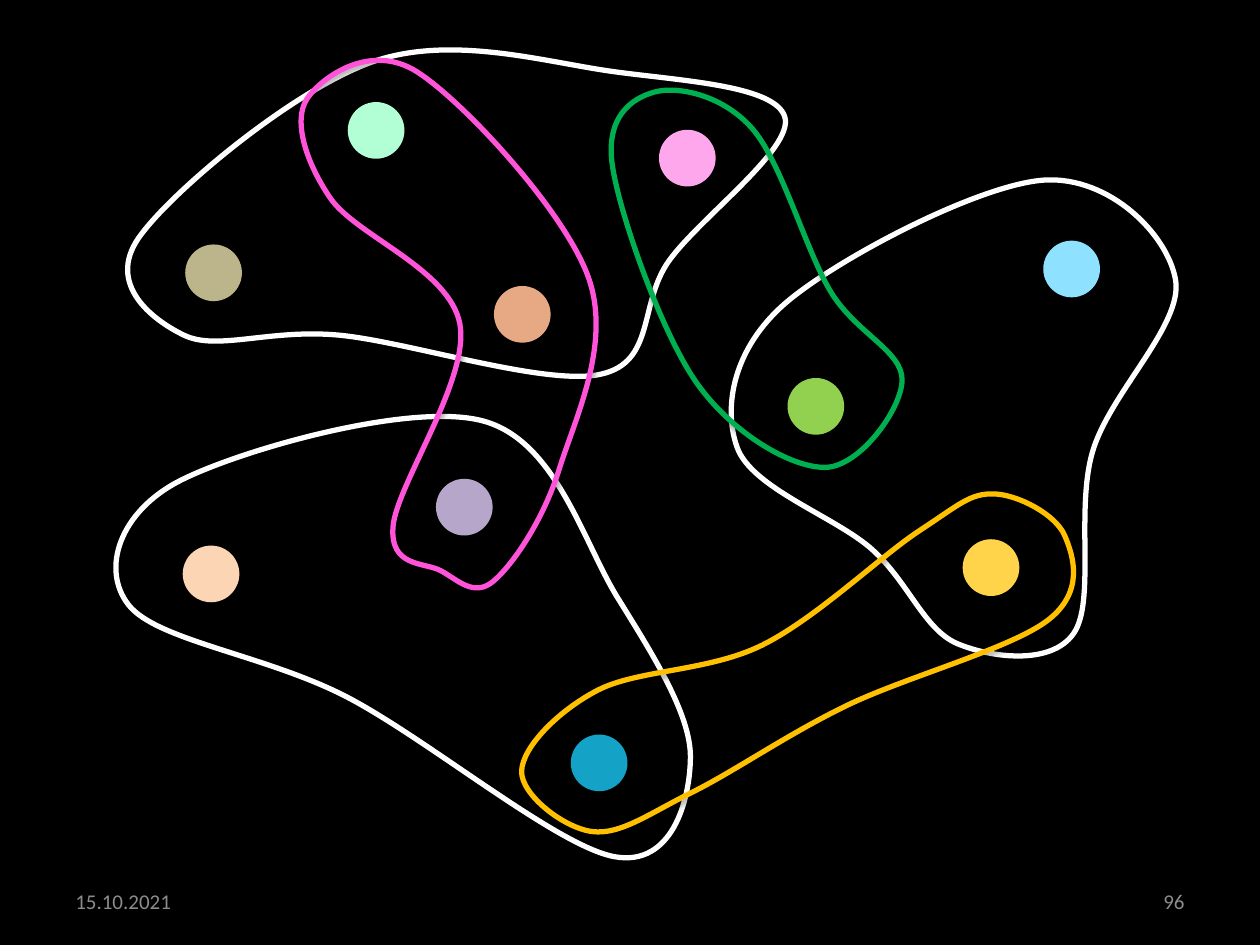
from pptx import Presentation
from pptx.dml.color import RGBColor
from pptx.enum.shapes import MSO_SHAPE
from pptx.enum.text import MSO_ANCHOR, PP_ALIGN
from pptx.oxml.ns import qn
from pptx.util import Inches, Pt
from lxml.etree import SubElement


def color(code):
    return RGBColor.from_string(code)


def smooth(knots):
    count = len(knots)
    curves = []
    for i in range(count):
        near = [knots[(i + k) % count] for k in (-1, 0, 1, 2)]
        axes = [(b, b + (c - a) / 6, c - (d - b) / 6, c)
                for a, b, c, d in zip(*near)]
        curves.append(list(zip(*axes)))
    return curves


def blend(curve, t):
    s = 1 - t
    return [a * s ** 3 + 3 * b * s * s * t + 3 * c * s * t * t + d * t ** 3
            for a, b, c, d in zip(*curve)]


def bounds(curves, steps=20):
    dots = [blend(c, n / steps) for c in curves for n in range(steps)]
    return [(min(axis), max(axis)) for axis in zip(*dots)]


class Board:
    font = "Calibri"
    size = 12
    gray = "8C8C8C"
    side = 0.45
    stroke = 3

    def __init__(self, deck, back):
        slide = deck.slides.add_slide(deck.slide_layouts[6])
        self.shapes = slide.shapes
        self.paint(slide.background.fill, back)

    def paint(self, fill, code):
        fill.solid()
        fill.fore_color.rgb = color(code)

    def shade(self, shape):
        shape.shadow.inherit = False
        effects = shape._element.spPr.find(qn("a:effectLst"))
        outer = SubElement(effects, qn("a:outerShdw"), blurRad=str(Pt(3.1)),
                           dist=str(Pt(1.8)), dir="5400000", rotWithShape="0")
        tint = SubElement(outer, qn("a:srgbClr"), val="000000")
        SubElement(tint, qn("a:alpha"), val="35000")

    def dot(self, left, top, code):
        side = Inches(self.side)
        shape = self.shapes.add_shape(
            MSO_SHAPE.OVAL, Inches(left), Inches(top), side, side)
        self.paint(shape.fill, code)
        shape.line.fill.background()
        self.shade(shape)

    def text(self, left, words, align):
        box = self.shapes.add_textbox(
            Inches(left), Inches(6.95), Inches(2.33), Inches(0.4))
        frame = box.text_frame
        frame.word_wrap = True
        frame.vertical_anchor = MSO_ANCHOR.MIDDLE
        para = frame.paragraphs[0]
        para.alignment = align
        run = para.add_run()
        run.text = words
        run.font.name = self.font
        run.font.size = Pt(self.size)
        run.font.color.rgb = color(self.gray)

    def loop(self, code, knots):
        curves = smooth(knots)
        (left, right), (top, base) = [
            map(Inches, pair) for pair in bounds(curves)]
        pen = self.shapes.build_freeform(left, top)
        pen.add_line_segments([(right, top), (right, base), (left, base)])
        shape = pen.convert_to_shape()
        shape.fill.background()
        shape.line.color.rgb = color(code)
        shape.line.width = Pt(self.stroke)
        self.shade(shape)

        trace = shape._element.spPr.find(".//" + qn("a:path"))
        for child in list(trace):
            trace.remove(child)

        def step(tag, points):
            node = SubElement(trace, qn(tag))
            for x, y in points:
                SubElement(node, qn("a:pt"), x=str(Inches(x) - left),
                           y=str(Inches(y) - top))

        step("a:moveTo", knots[:1])
        for curve in curves:
            step("a:cubicBezTo", curve[1:])
        SubElement(trace, qn("a:close"))


DOTS = [
    (1.45, 4.33, "FCD5B5"), (6.25, 3, "92D050"), (3.46, 3.8, "B5A6CA"),
    (2.76, 0.81, "B3FFD5"), (1.47, 1.94, "BCB48A"), (7.64, 4.28, "FFD44B"),
    (4.53, 5.83, "14A3C7"), (5.23, 1.03, "FFA7EC"), (8.28, 1.91, "8FE2FF"),
    (3.92, 2.27, "E6A984"),
]

LOOPS = [
    ("FFFFFF", [(2.75, 5.53), (1.02, 4.8), (1.42, 3.82), (3.83, 3.34),
                (4.9, 4.74), (5.48, 6.01), (4.88, 6.8)]),
    ("FFFFFF", [(2.69, 2.66), (1.46, 2.66), (1.1, 1.89), (2.96, 0.49),
                (4.88, 0.57), (6.23, 0.93), (5.31, 2.07), (4.77, 2.97)]),
    ("FFFFFF", [(6.92, 4.36), (5.85, 3.55), (6.23, 2.41), (8.29, 1.43),
                (9.33, 2.22), (8.67, 3.59), (8.52, 5.03), (7.6, 5.11)]),
    ("FF53DA", [(3.5, 4.53), (3.12, 4.18), (3.65, 2.57), (2.62, 1.57),
                (2.44, 0.78), (3.31, 0.57), (4.67, 2.2), (4.44, 3.72),
                (3.92, 4.61)]),
    ("00B050", [(6.55, 3.71), (5.53, 3.04), (4.86, 1.31), (5.2, 0.73),
                (5.97, 1.02), (6.59, 2.31), (7.16, 3.02)]),
    ("FFC000", [(6.05, 5.12), (7.3, 4.21), (7.89, 3.92), (8.45, 4.25),
                (8.32, 4.92), (6.72, 5.6), (5.49, 6.29), (4.7, 6.6),
                (4.14, 6.12), (4.74, 5.48)]),
]


def main():
    deck = Presentation()
    deck.slide_width = Inches(10)
    deck.slide_height = Inches(7.5)
    board = Board(deck, "000000")
    for dot in DOTS:
        board.dot(*dot)
    board.text(0.5, "15.10.2021", PP_ALIGN.LEFT)
    board.text(7.17, "96", PP_ALIGN.RIGHT)
    for loop in LOOPS:
        board.loop(*loop)
    deck.save("out.pptx")


if __name__ == "__main__":
    main()
